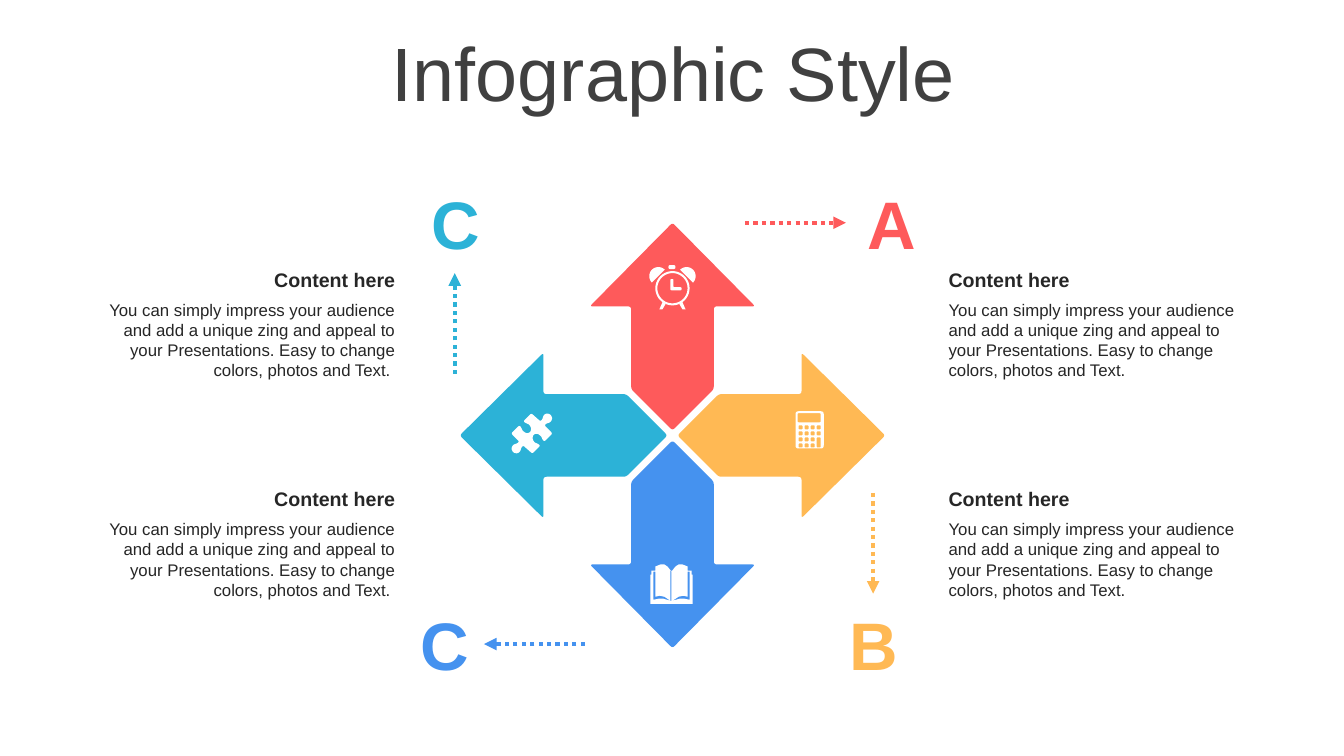
import math
import pptx
import pptx.dml.color
import pptx.enum.dml
import pptx.enum.shapes
import pptx.enum.text
import pptx.oxml
import pptx.oxml.ns
import pptx.util

Inches = pptx.util.Inches
ALIGN = pptx.enum.text.PP_ALIGN
ANCHOR = pptx.enum.text.MSO_ANCHOR

COLORS = {"red": "FE5A5B", "gold": "FFB954", "blue": "4592EF", "teal": "2CB2D7",
          "title": "404040", "text": "262626", "white": "FFFFFF"}
HUB = (6.67, 4.32)
HEAD = "Content here"
BODY = ("You can simply impress your audience and add a unique zing and appeal "
        "to your Presentations. Easy to change colors, photos and Text.")


def rgb(name):
    return pptx.dml.color.RGBColor.from_string(COLORS[name])


# Geometry
def soften(points, radius):
    """Round each corner of a polygon."""
    result = []
    for i, (x, y) in enumerate(points):
        ends = []
        for px, py in (points[i - 1], points[(i + 1) % len(points)]):
            size = math.dist((x, y), (px, py))
            part = min(radius / size, 0.5)
            ends.append((x + (px - x) * part, y + (py - y) * part))
        (ax, ay), (bx, by) = ends
        for t in (0, 0.25, 0.5, 0.75, 1):
            u, v, w = (1 - t) ** 2, 2 * t * (1 - t), t * t
            result.append((u * ax + v * x + w * bx, u * ay + v * y + w * by))
    return result


def arc(x, y, radius, start=0, sweep=360, steps=40):
    turns = [math.radians(start + sweep * i / steps) for i in range(steps + 1)]
    return [(x + radius * math.cos(a), y + radius * math.sin(a)) for a in turns]


def rect(left, top, right, bottom, radius=0.01):
    return soften([(left, top), (right, top), (right, bottom), (left, bottom)], radius)


def flip(points, axis):
    return [(2 * axis - x, y) for x, y in points]


def draw(shapes, loops, color):
    """Fill closed outlines as one shape; inner outlines become holes."""
    loops = [[(Inches(x), Inches(y)) for x, y in loop] for loop in loops]
    form = shapes.build_freeform(*loops[0][0])
    for i, loop in enumerate(loops):
        if i:
            form.move_to(*loop[0])
        form.add_line_segments(loop[1:], close=True)
    shape = form.convert_to_shape()
    shape.shadow.inherit = False
    shape.fill.solid()
    shape.fill.fore_color.rgb = rgb(color)
    shape.line.fill.background()


# Text and lines
def write(shapes, box, text, size, color, align, bold=False, anchor=ANCHOR.TOP,
          inset=(0.1, 0.05, 0.1, 0.05), grow=True):
    frame = shapes.add_textbox(*map(Inches, box)).text_frame
    frame.word_wrap = True
    if grow:
        frame.auto_size = pptx.enum.text.MSO_AUTO_SIZE.SHAPE_TO_FIT_TEXT
    frame.vertical_anchor = anchor
    (frame.margin_left, frame.margin_top,
     frame.margin_right, frame.margin_bottom) = map(Inches, inset)
    frame.text = text
    para = frame.paragraphs[0]
    para.alignment = align
    font = para.runs[0].font
    font.name, font.size, font.bold = "Arial", pptx.util.Pt(size), bold
    font.color.rgb = rgb(color)
    return para


def letter(shapes, left, top, text, color):
    write(shapes, (left, top, 0.88, 0.81), text, 48, color, ALIGN.CENTER,
          bold=True, inset=(0.05, 0, 0.03, 0))


def block(shapes, left, top, align):
    group = shapes.add_group_shape().shapes
    tail = " " if align == ALIGN.RIGHT else ""
    write(group, (left, top, 3.14, 0.34), HEAD, 14, "text", align,
          bold=True, anchor=ANCHOR.MIDDLE)
    write(group, (left, top + 0.32, 3.14, 0.91), BODY + tail, 12, "text", align)


def pointer(shapes, start, end, color):
    kind = pptx.enum.shapes.MSO_CONNECTOR.STRAIGHT
    link = shapes.add_connector(kind, *map(Inches, start + end))
    link.line.color.rgb = rgb(color)
    link.line.width = pptx.util.Pt(3)
    link.line.dash_style = pptx.enum.dml.MSO_LINE.ROUND_DOT
    props = link._element.spPr
    qn = pptx.oxml.ns.qn
    tip = props.find(qn("a:ln")).makeelement(qn("a:tailEnd"), {"type": "triangle"})
    props.find(qn("a:ln")).append(tip)
    props.append(props.makeelement(qn("a:effectLst"), {}))


def arrow(shapes, dx, dy, color):
    """Block arrow that leaves the hub in direction dx, dy."""
    side = [(0.46, 0.41), (1.28, 0.41), (1.28, 0.82)]
    plan = [(0.05, 0)] + side + [(2.11, 0)] + [(d, -w) for d, w in reversed(side)]
    x, y = HUB
    points = [(x + d * dx - w * dy, y + d * dy + w * dx) for d, w in plan]
    draw(shapes, [soften(points, 0.03)], color)


# Icons
def clock(shapes):
    x, y = 6.67, 2.86
    bell = arc(6.53, 2.74, 0.09, -45, -180)
    leg = [(6.57, 3.07), (6.54, 3.07), (6.57, 3), (6.6, 3.02)]
    knob = [(6.63, 2.67), (6.63, 2.63), (6.7, 2.63), (6.7, 2.67)]
    hands = [(6.65, 2.77), (6.68, 2.77), (6.68, 2.85),
             (6.76, 2.85), (6.76, 2.88), (6.65, 2.88)]
    draw(shapes, [arc(x, y, 0.17), arc(x, y, 0.15), bell, flip(bell, x), leg,
                  flip(leg, x), soften(knob, 0.02), soften(hands, 0.01)], "white")


def adder(shapes):
    loops = [rect(7.89, 4.08, 8.17, 4.45, 0.03), rect(7.91, 4.1, 8.14, 4.19)]
    for row in range(4):
        for col in range(4):
            if (row, col) == (3, 3):
                continue
            left, top = 7.92 + 0.06 * col, 4.22 + 0.06 * row
            high = 0.1 if (row, col) == (2, 3) else 0.04
            loops.append(rect(left, top, left + 0.04, top + high))
    draw(shapes, loops, "white")


def puzzle(shapes):
    half = [(5.27, 4.1), (5.36, 4.18), (5.38, 4.16), (5.39, 4.12), (5.42, 4.1),
            (5.46, 4.11), (5.48, 4.15), (5.46, 4.19), (5.42, 4.2), (5.4, 4.22),
            (5.48, 4.3), (5.4, 4.38), (5.38, 4.36), (5.37, 4.33), (5.33, 4.3),
            (5.29, 4.31), (5.28, 4.35), (5.3, 4.39), (5.33, 4.4), (5.36, 4.42)]
    turned = [(10.55 - x, 8.6 - y) for x, y in half]
    draw(shapes, [soften(half + turned, 0.02)], "white")


def book(shapes):
    axis = 6.66
    cover = [(6.66, 5.67), (6.62, 5.62), (6.59, 5.6), (6.55, 5.6), (6.5, 5.62),
             (6.5, 5.66), (6.46, 5.66), (6.46, 5.7), (6.45, 5.7), (6.45, 5.99)]
    slot = [(6.48, 5.67), (6.5, 5.67), (6.5, 5.92), (6.54, 5.91), (6.59, 5.92),
            (6.65, 5.96), (6.58, 5.94), (6.53, 5.94), (6.48, 5.95)]
    spine = [(6.65, 5.66), (6.66, 5.66), (6.66, 5.96), (6.65, 5.96)]
    draw(shapes, [cover + flip(cover[:0:-1], axis), slot, flip(slot, axis), spine],
         "white")


def main():
    deck = pptx.Presentation()
    deck.slide_width, deck.slide_height = Inches(13.33), Inches(7.5)
    shapes = deck.slides.add_slide(deck.slide_layouts[6]).shapes

    # Title
    title = write(shapes, (0.35, 0.37, 12.66, 0.79), "Infographic Style", 54, "title",
                  ALIGN.CENTER, anchor=ANCHOR.MIDDLE, grow=False)
    title.line_spacing = 0.9

    # Four arrows around the hub
    cross = shapes.add_group_shape().shapes
    for dx, dy, color in ((0, 1, "blue"), (-1, 0, "teal"), (1, 0, "gold"), (0, -1, "red")):
        arrow(cross, dx, dy, color)

    # Letters with dotted pointers
    for left, top, text, color, start, end in (
            (3.96, 5.99, "C", "blue", (5.8, 6.39), (4.8, 6.39)),
            (8.39, 1.81, "A", "red", (7.39, 2.21), (8.39, 2.21)),
            (8.22, 5.99, "B", "gold", (8.66, 4.89), (8.66, 5.89)),
            (4.07, 1.81, "C", "teal", (4.51, 3.71), (4.51, 2.71))):
        letter(shapes, left, top, text, color)
        pointer(shapes, start, end, color)

    # Text blocks
    for left, align in ((9.31, ALIGN.LEFT), (0.88, ALIGN.RIGHT)):
        for top in (2.6, 4.78):
            block(shapes, left, top, align)

    # Icons on the arrows
    for icon in (clock, adder, puzzle, book):
        icon(shapes)

    deck.save("out.pptx")


if __name__ == "__main__":
    main()
